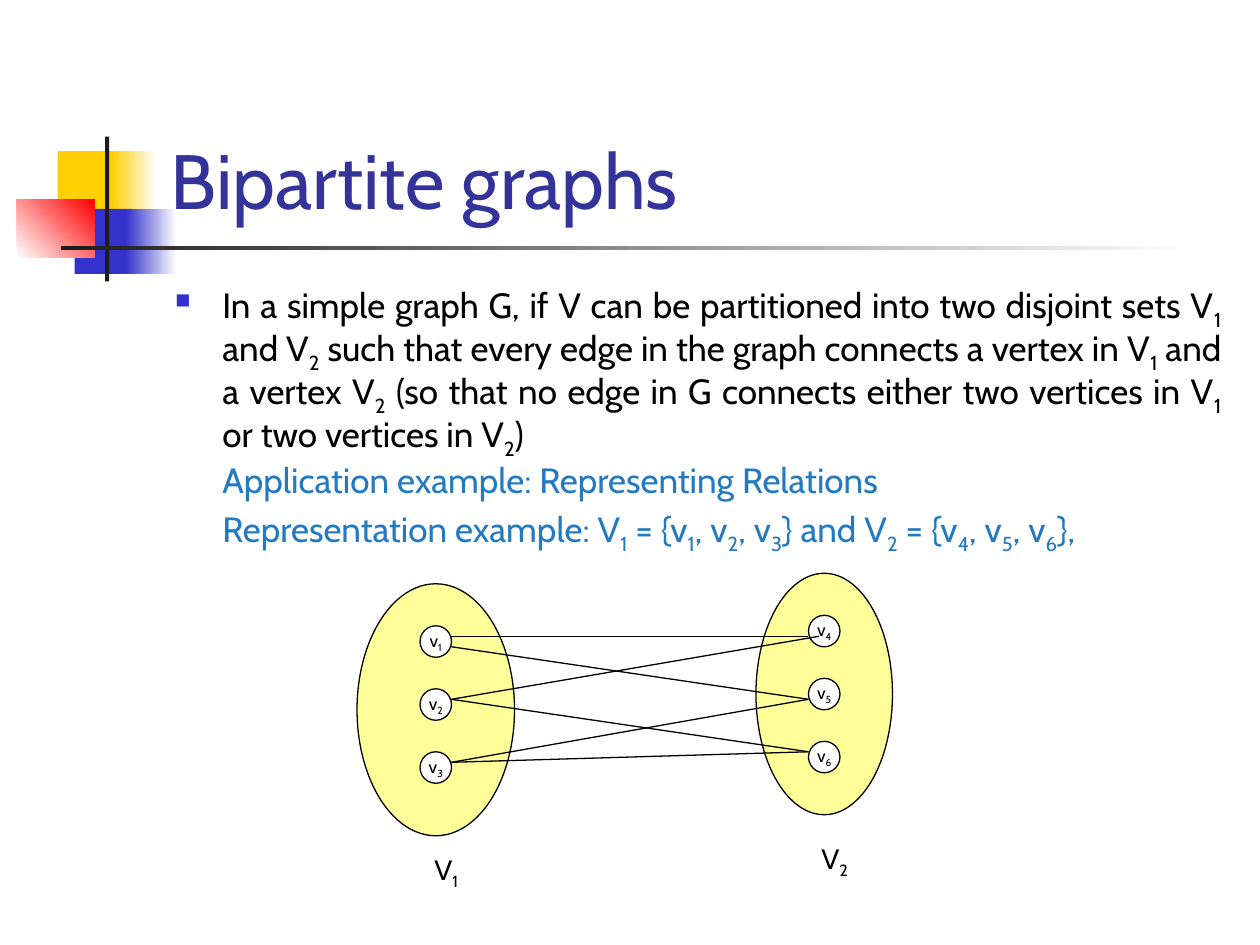
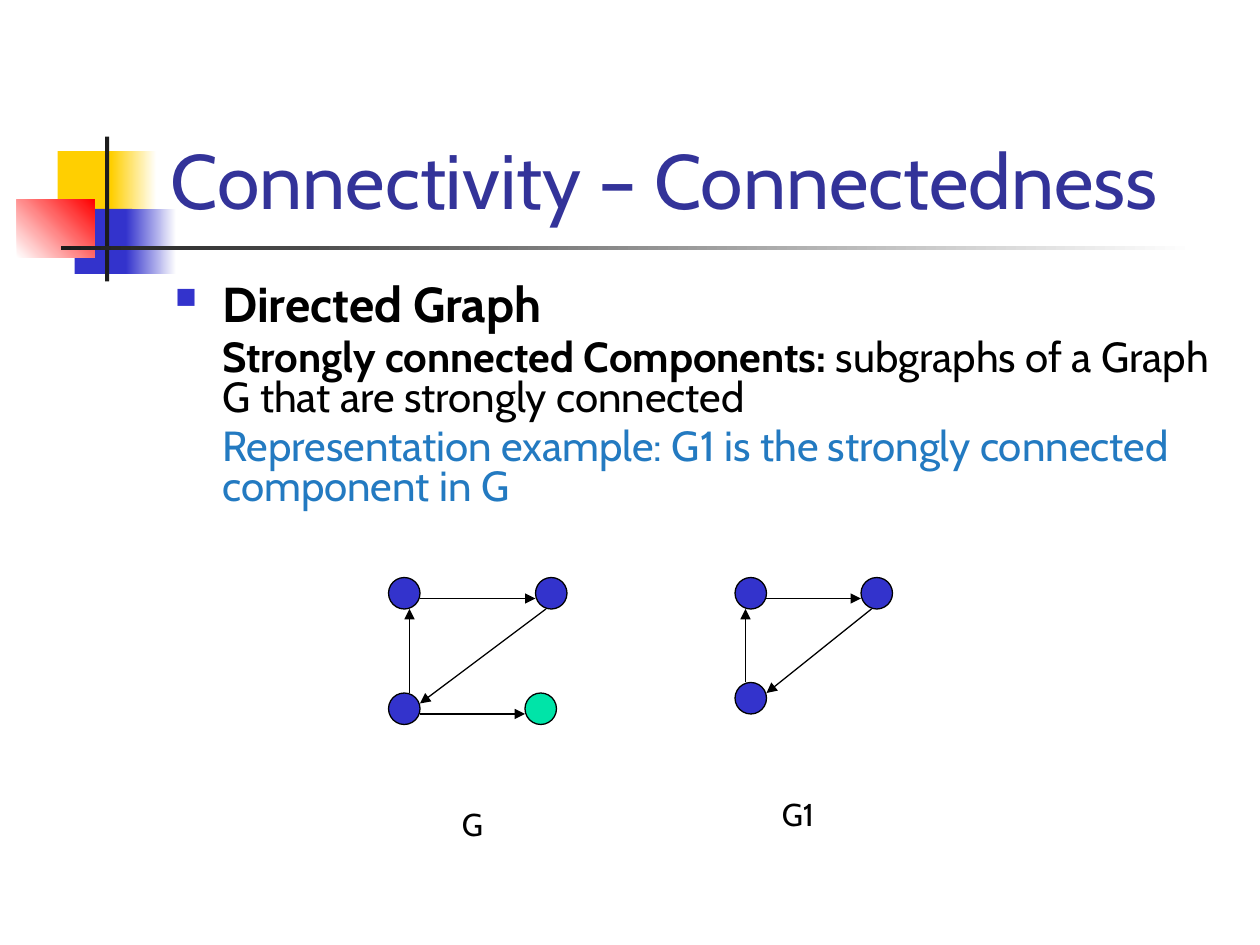
from lxml.etree import SubElement
from pptx import Presentation
from pptx.dml.color import RGBColor
from pptx.enum.shapes import MSO_CONNECTOR, MSO_SHAPE
from pptx.enum.text import MSO_ANCHOR, PP_ALIGN
from pptx.oxml.ns import qn
from pptx.util import Pt

PX = 7620  # 120 px to the inch
FONT = "Cabin"
BLACK = RGBColor(0x00, 0x00, 0x00)
WHITE = RGBColor(0xFF, 0xFF, 0xFF)
CHARCOAL = RGBColor(0x1C, 0x1C, 0x1C)
GOLD = RGBColor(0xFF, 0xCF, 0x01)
BLUE = RGBColor(0x33, 0x33, 0xCC)
RED = RGBColor(0xFF, 0x00, 0x00)
NAVY = RGBColor(0x33, 0x33, 0x99)
SKY = RGBColor(0x23, 0x7A, 0xC1)
PALE_YELLOW = RGBColor(0xFF, 0xFF, 0x99)
GREEN = RGBColor(0x00, 0xE4, 0xA8)

# left, top, width, height, first colour, last colour, angle
DECORATION = [
    (55, 144, 58, 62, GOLD, None, 0),
    (106, 144, 43, 62, GOLD, WHITE, 0),
    (71, 199, 55, 62, BLUE, None, 0),
    (120, 199, 48, 62, BLUE, WHITE, 0),
    (16, 190, 74, 55, WHITE, RED, 45),
    (100, 130, 4, 138, CHARCOAL, None, 0),
    (58, 234, 1080, 4, CHARCOAL, WHITE, 0),
]
TITLE_BOX = (151, 28, 1022, 192)
NODE = 30
TEXT_INDENT = 45

# An underscore makes the next character a subscript.
# Each paragraph is a list of (text, format) runs.
BIPARTITE = {
    "title": "Bipartite graphs",
    "box": (155, 265, 1020, 185),
    "spacing": 0.9,
    "alignment": PP_ALIGN.JUSTIFY,
    "paragraphs": [
        [("In a simple graph G, if V can be partitioned into two disjoint sets V_1 and V_2 "
          "such that every edge in the graph connects a vertex in V_1 and a vertex V_2 "
          "(so that no edge in G connects either two vertices in V_1 or two vertices in V_2)",
          {"size": 20})],
        [("Application example: Representing Relations", {"size": 20, "color": SKY})],
        [("Representation example: V_1 = {v_1, v_2, v_3} and V_2 = {v_4, v_5, v_6},",
          {"size": 20, "color": SKY})],
    ],
}
# name, set outline, left of the nodes, node names
VERTEX_SETS = [
    ("V_1", (340, 556, 150, 240), 400, ["v_1", "v_2", "v_3"]),
    ("V_2", (720, 546, 130, 230), 770, ["v_4", "v_5", "v_6"]),
]
NODE_PITCH = 60
# from node, offset in it, to node, offset in it
BIPARTITE_EDGES = [
    ("v_1", (30, 10), "v_4", (0, 20)),
    ("v_1", (30, 20), "v_5", (0, 20)),
    ("v_2", (30, 10), "v_4", (10, 20)),
    ("v_2", (30, 10), "v_6", (0, 10)),
    ("v_3", (30, 10), "v_5", (0, 20)),
    ("v_3", (30, 10), "v_6", (0, 10)),
]

CONNECTIVITY = {
    "title": "Connectivity – Connectedness",
    "box": (155, 265, 1025, 235),
    "spacing": 0.8,
    "alignment": PP_ALIGN.LEFT,
    "paragraphs": [
        [("Directed Graph", {"size": 28, "bold": True})],
        [("Strongly connected Components: ", {"size": 24, "bold": True}),
         ("subgraphs of a Graph G that are strongly connected", {"size": 24})],
        [("Representation example: G1 is the strongly connected component in G",
          {"size": 24, "color": SKY})],
    ],
}
TRIANGLE_EDGES = [
    ("a", (30, 20), "b", (0, 20)),
    ("b", (10, 30), "c", (30, 10)),
]
DIRECTED_GRAPHS = [
    {"label": "G", "label_at": (430, 770),
     "nodes": {"a": (370, 550), "b": (510, 550), "c": (370, 660), "d": (500, 660)},
     "edges": TRIANGLE_EDGES + [("c", (20, 0), "a", (20, 30)), ("c", (30, 20), "d", (0, 20))]},
    {"label": "G1", "label_at": (740, 760),
     "nodes": {"a": (700, 550), "b": (820, 550), "c": (700, 650)},
     "edges": TRIANGLE_EDGES + [("c", (10, 0), "a", (10, 30))]},
]


def scaled(lengths):
    return [length * PX for length in lengths]


def add_runs(paragraph, text, size, color=BLACK, bold=False):
    """Write text, lowering each character that follows an underscore."""
    first, *rest = text.split("_")
    pieces = [(first, False)]
    for part in rest:
        pieces += [(part[0], True), (part[1:], False)]
    for piece, is_subscript in pieces:
        if not piece:
            continue
        run = paragraph.add_run()
        run.text = piece
        for name, value in {"name": FONT, "size": Pt(size), "bold": bold}.items():
            setattr(run.font, name, value)
        run.font.color.rgb = color
        if is_subscript:
            run._r.get_or_add_rPr().set("baseline", "-25000")


def add_filled(slide, kind, box, fill, line=None):
    shape = slide.shapes.add_shape(kind, *scaled(box))
    shape.shadow.inherit = False
    shape.fill.solid()
    shape.fill.fore_color.rgb = fill
    if line is None:
        shape.line.fill.background()
    else:
        shape.line.color.rgb = line
        shape.line.width = Pt(0.75)
    return shape


def add_centred_text(shape, text, size, anchor=MSO_ANCHOR.MIDDLE):
    frame = shape.text_frame
    frame.word_wrap = False
    frame.vertical_anchor = anchor
    frame.paragraphs[0].alignment = PP_ALIGN.CENTER
    add_runs(frame.paragraphs[0], text, size)


def add_text_frame(slide, box, anchor):
    frame = slide.shapes.add_textbox(*scaled(box)).text_frame
    frame.word_wrap = True
    frame.vertical_anchor = anchor
    return frame


def set_bullet(properties):
    properties.set("indent", str(-TEXT_INDENT * PX))
    color = SubElement(properties, qn("a:buClr"))
    SubElement(color, qn("a:srgbClr")).set("val", str(BLUE))
    SubElement(properties, qn("a:buSzPct")).set("val", "60000")
    SubElement(properties, qn("a:buChar")).set("char", "■")


def add_body(slide, content):
    frame = add_text_frame(slide, content["box"], MSO_ANCHOR.TOP)
    for index, runs in enumerate(content["paragraphs"]):
        paragraph = frame.add_paragraph() if index else frame.paragraphs[0]
        properties = paragraph._p.get_or_add_pPr()
        properties.set("marL", str(TEXT_INDENT * PX))
        if index:
            paragraph.space_before = Pt(0.2 * runs[0][1]["size"])
        else:
            set_bullet(properties)
        paragraph.alignment = content["alignment"]
        paragraph.line_spacing = content["spacing"]
        for text, text_format in runs:
            add_runs(paragraph, text, **text_format)


def add_content_slide(presentation, content):
    slide = presentation.slides.add_slide(presentation.slide_layouts[6])
    for *box, first, last, angle in DECORATION:
        shape = add_filled(slide, MSO_SHAPE.RECTANGLE, box, first)
        if last is not None:
            shape.fill.gradient()
            shape.fill.gradient_angle = angle
            for stop, color in zip(shape.fill.gradient_stops, (first, last)):
                stop.color.rgb = color
    title = add_text_frame(slide, TITLE_BOX, MSO_ANCHOR.BOTTOM)
    add_runs(title.paragraphs[0], content["title"], 44, NAVY)
    add_body(slide, content)
    return slide


def add_edges(slide, nodes, edges, arrow=False):
    for start, start_offset, end, end_offset in edges:
        ends = [position + offset
                for node, offsets in ((start, start_offset), (end, end_offset))
                for position, offset in zip(nodes[node], offsets)]
        connector = slide.shapes.add_connector(MSO_CONNECTOR.STRAIGHT, *scaled(ends))
        connector.line.color.rgb = BLACK
        connector.line.width = Pt(0.75)
        if arrow:
            SubElement(connector.line._get_or_add_ln(), qn("a:tailEnd")).set("type", "triangle")
        SubElement(connector._element.spPr, qn("a:effectLst"))


def draw_bipartite_graph(slide):
    nodes = {}
    for _, outline, _, _ in VERTEX_SETS:
        add_filled(slide, MSO_SHAPE.OVAL, outline, PALE_YELLOW, BLACK)
    for _, outline, left, names in VERTEX_SETS:
        for row, name in enumerate(names):
            nodes[name] = (left, outline[1] + 40 + row * NODE_PITCH)
            circle = add_filled(slide, MSO_SHAPE.OVAL, (*nodes[name], NODE, NODE), WHITE, BLACK)
            add_centred_text(circle, name, 10)
    add_edges(slide, nodes, BIPARTITE_EDGES)
    for set_name, outline, left, _ in VERTEX_SETS:
        label = slide.shapes.add_textbox(*scaled((left, outline[1] + 250, 50, 44)))
        add_centred_text(label, set_name, 16, MSO_ANCHOR.TOP)


def draw_directed_graph(slide, graph):
    for name, position in graph["nodes"].items():
        color = GREEN if name == "d" else BLUE
        add_filled(slide, MSO_SHAPE.OVAL, (*position, NODE, NODE), color, BLACK)
    add_edges(slide, graph["nodes"], graph["edges"], arrow=True)
    label = add_filled(slide, MSO_SHAPE.RECTANGLE, (*graph["label_at"], 40, 30), WHITE, WHITE)
    add_centred_text(label, graph["label"], 18)


def main():
    presentation = Presentation()
    presentation.slide_width, presentation.slide_height = scaled((1200, 900))
    draw_bipartite_graph(add_content_slide(presentation, BIPARTITE))
    connectivity_slide = add_content_slide(presentation, CONNECTIVITY)
    for graph in DIRECTED_GRAPHS:
        draw_directed_graph(connectivity_slide, graph)
    presentation.save("out.pptx")


if __name__ == "__main__":
    main()
